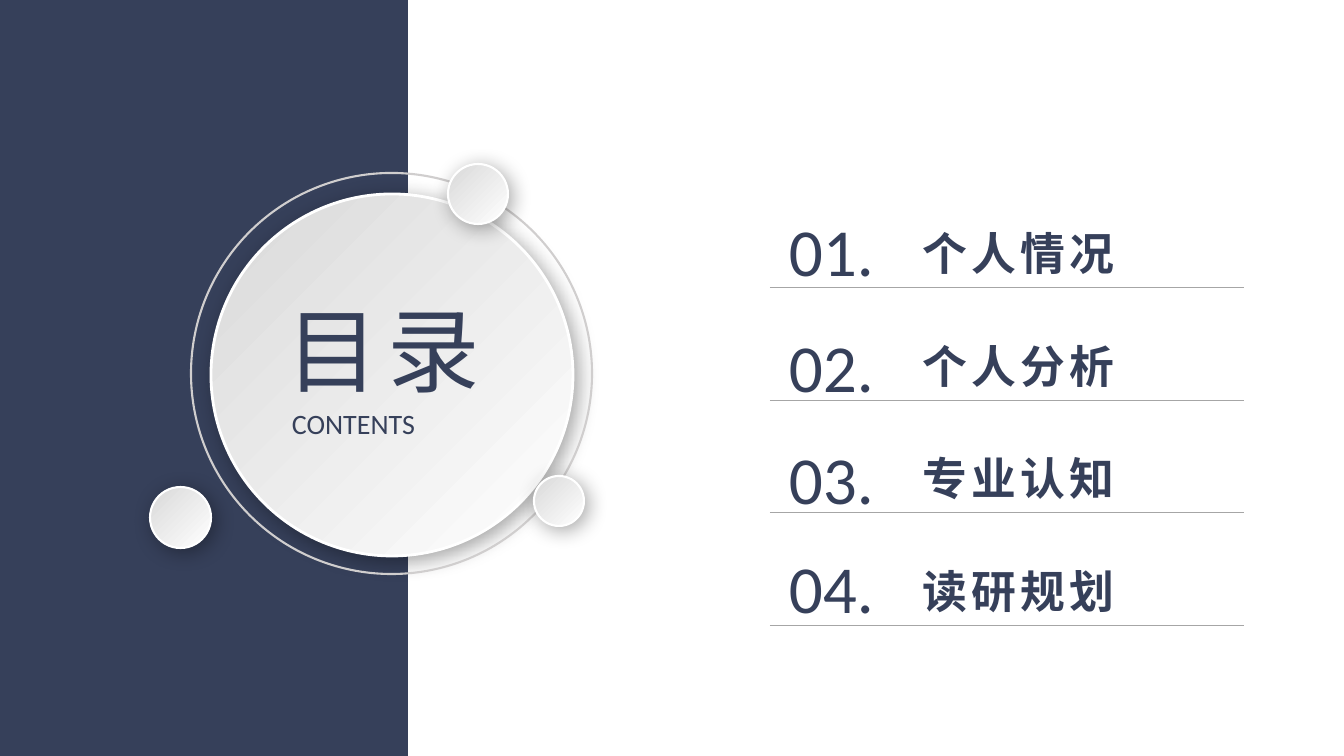
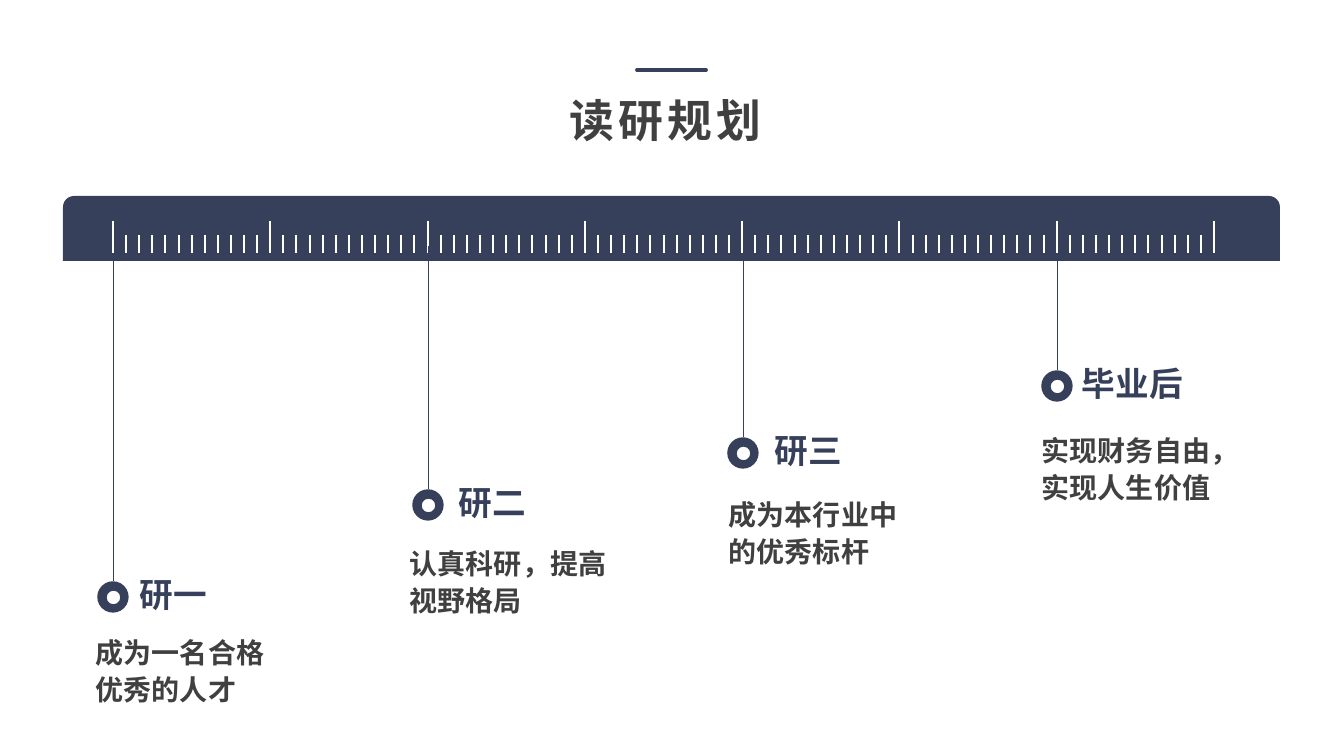
import pptx
import pptx.util
import pptx.dml.color
import pptx.enum.shapes
import pptx.enum.text
import pptx.oxml
import pptx.oxml.ns

SCALE = 914400 / 100.8
FONT = "Calibri"
COLORS = {
    "navy": "36405A",
    "text": "404040",
    "rule": "A6A6A6",
    "ring": "D0CECE",
    "silver": "D9D9D9",
    "white": "FFFFFF",
}
SHAPE = pptx.enum.shapes.MSO_SHAPE
ANCHOR = pptx.enum.text.MSO_ANCHOR
SHADOW = (
    f'<a:effectLst {pptx.oxml.ns.nsdecls("a")}>'
    '<a:outerShdw blurRad="190500" dist="50800" dir="2700000" algn="tl" rotWithShape="0">'
    '<a:srgbClr val="000000"><a:alpha val="34000"/></a:srgbClr>'
    '</a:outerShdw></a:effectLst>'
)
NO_EFFECT = f'<a:effectLst {pptx.oxml.ns.nsdecls("a")}/>'


def px(value):
    return pptx.util.Emu(round(value * SCALE))


def rgb(name):
    return pptx.dml.color.RGBColor.from_string(COLORS[name])


class Deck:
    def __init__(self):
        self.prs = pptx.Presentation()
        self.prs.slide_width = px(1344)
        self.prs.slide_height = px(756)
        self.s = None

    def new_slide(self):
        self.s = self.prs.slides.add_slide(self.prs.slide_layouts[6])

    def shape(self, kind, x, y, w, h, fill=None, line=None, weight=1):
        sp = self.s.shapes.add_shape(kind, px(x), px(y), px(w), px(h))
        sp.shadow.inherit = False
        if fill:
            sp.fill.solid()
            sp.fill.fore_color.rgb = rgb(fill)
        else:
            sp.fill.background()
        if line:
            sp.line.color.rgb = rgb(line)
            sp.line.width = pptx.util.Pt(weight)
        else:
            sp.line.fill.background()
        return sp

    def circle(self, x, y, size, fill=None, line=None, weight=1):
        return self.shape(SHAPE.OVAL, x, y, size, size, fill, line, weight)

    def raised_circle(self, x, y, size, weight):
        sp = self.circle(x, y, size, "silver", "white", weight)
        sp.fill.gradient()
        sp.fill.gradient_angle = 315
        for stop, name, place in zip(sp.fill.gradient_stops, ("silver", "white"), (0, 1)):
            stop.color.rgb = rgb(name)
            stop.position = place
        props = sp.element.spPr
        props.remove(props.find(pptx.oxml.ns.qn("a:effectLst")))
        props.append(pptx.oxml.parse_xml(SHADOW))

    def line(self, x1, y1, x2, y2, color, weight, rounded=False):
        cn = self.s.shapes.add_connector(
            pptx.enum.shapes.MSO_CONNECTOR.STRAIGHT, px(x1), px(y1), px(x2), px(y2))
        cn.line.color.rgb = rgb(color)
        cn.line.width = pptx.util.Pt(weight)
        if rounded:
            cn.line._get_or_add_ln().set("cap", "rnd")
        cn.element.spPr.append(pptx.oxml.parse_xml(NO_EFFECT))

    def text(self, x, y, w, h, text, size, color="navy", bold=False, spacing=0,
             wrap=True, anchor=ANCHOR.TOP, leading=None):
        tf = self.s.shapes.add_textbox(px(x), px(y), px(w), px(h)).text_frame
        tf.word_wrap = wrap
        tf.auto_size = pptx.enum.text.MSO_AUTO_SIZE.SHAPE_TO_FIT_TEXT
        tf.vertical_anchor = anchor
        p = tf.paragraphs[0]
        if leading:
            p.line_spacing = leading
        r = p.add_run()
        r.text = text
        r.font.name = FONT
        r.font.size = pptx.util.Pt(size)
        r.font.bold = bold
        r.font.color.rgb = rgb(color)
        if spacing:
            r.font._element.set("spc", str(spacing * 100))

    def heading(self, x, y, w, text, color, anchor=ANCHOR.TOP):
        self.text(x, y, w, 65, text, 32, color, bold=True, spacing=3,
                  wrap=False, anchor=anchor)


def contents_slide(deck):
    deck.new_slide()
    deck.shape(SHAPE.RECTANGLE, 0, 0, 408, 756, "navy")
    deck.raised_circle(211, 194, 362, 2)
    deck.circle(191, 173, 401, line="ring", weight=1.5)
    for x, y, size in ((448, 164, 60), (150, 487, 61), (534, 476, 50)):
        deck.raised_circle(x, y, size, 1.5)
    deck.text(277, 288, 229, 122, "目录", 66, spacing=6)
    deck.text(282, 402, 210, 44, "CONTENTS", 20)

    chapters = (("个人情况", 203), ("个人分析", 319), ("专业认知", 431), ("读研规划", 540))
    for i, (name, number_top) in enumerate(chapters):
        rule_y = round(287.3 + i * 112.5)
        deck.text(779, number_top, 107, 92, f"{i + 1:02d}.", 48,
                  wrap=False, anchor=ANCHOR.BOTTOM)
        deck.line(770, rule_y, 1244, rule_y, "rule", 0.5)
        deck.heading(913, rule_y - 66, 221, name, "navy")


def plan_slide(deck):
    deck.new_slide()
    deck.line(637, 70, 706, 70, "navy", 2.75, rounded=True)
    deck.heading(560, 87, 219, "读研规划", "text", ANCHOR.MIDDLE)

    ruler = deck.shape(SHAPE.ROUND_2_SAME_RECTANGLE, 63, 196, 1217, 65, "navy")
    ruler.adjustments[0] = 0.17
    ruler.adjustments[1] = 0
    ticks = 84
    for i in range(ticks + 1):
        x = round(113 + i * 1101 / ticks)
        deck.line(x, 221 if i % 12 == 0 else 235, x, 253, "white", 1)

    stages = (
        (113, 597, 260, "研一", 130, "成为一名合格优秀的人才", 86, 627, 200),
        (428, 505, 246, "研二", 449, "认真科研，提高视野格局", 400, 538, 227),
        (743, 453, 260, "研三", 765, "成为本行业中的优秀标杆", 719, 489, 210),
        (1057, 386, 260, "毕业后", 1072, "实现财务自由，实现人生价值", 1032, 425, 234),
    )
    for x, y, stem_top, name, name_x, goal, goal_x, goal_y, goal_w in stages:
        deck.line(x, stem_top, x, y - 16, "navy", 0.5)
        deck.circle(x - 15, y - 15, 30, "navy", "navy")
        deck.circle(x - 7, y - 7, 15, "white", "navy")
        deck.text(name_x, y - 28, 171, 50, name, 24, bold=True)
        deck.text(goal_x, goal_y, goal_w, 85, goal, 20, "text", bold=True, leading=1.1)


def main():
    deck = Deck()
    contents_slide(deck)
    plan_slide(deck)
    deck.prs.save("out.pptx")


if __name__ == "__main__":
    main()
